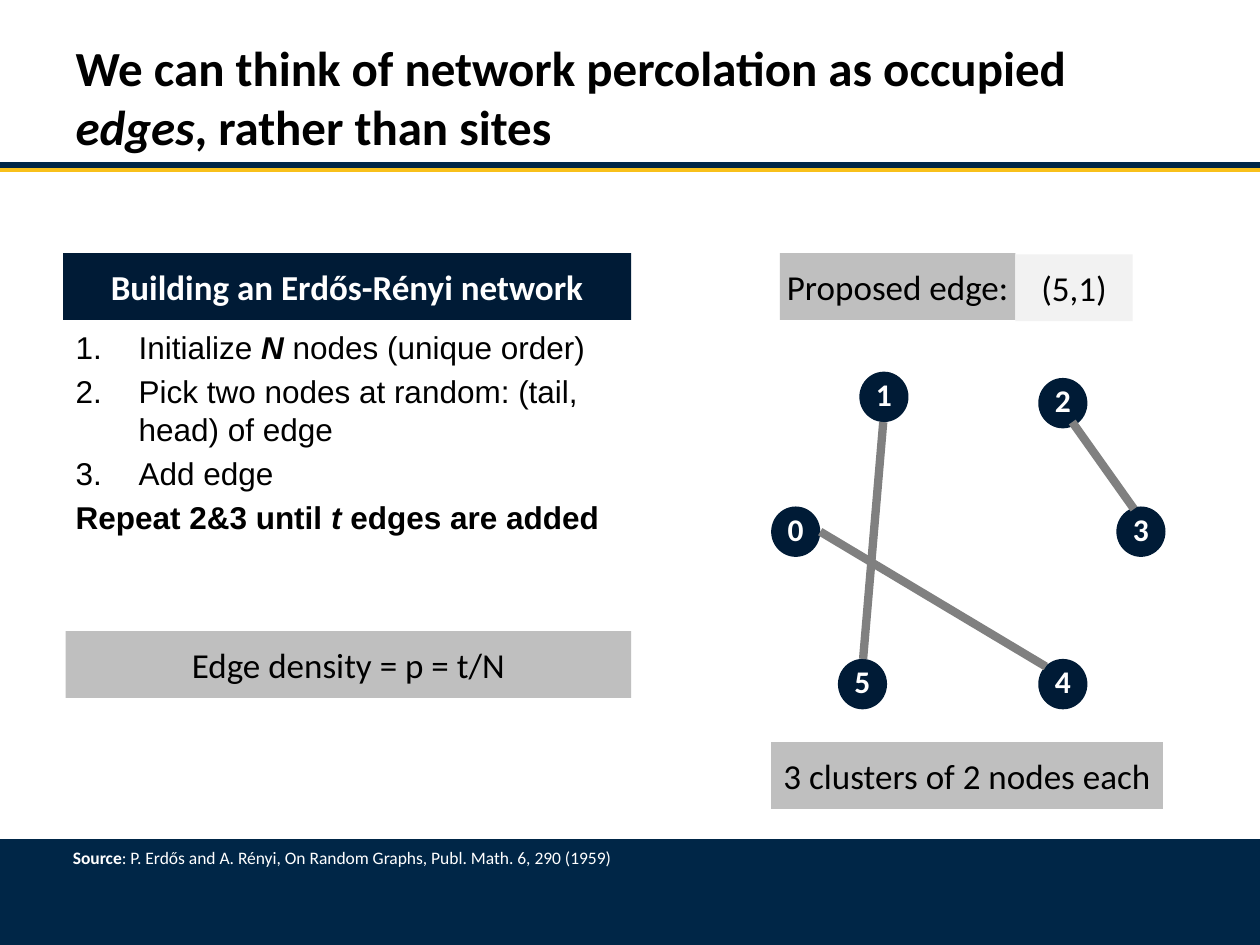
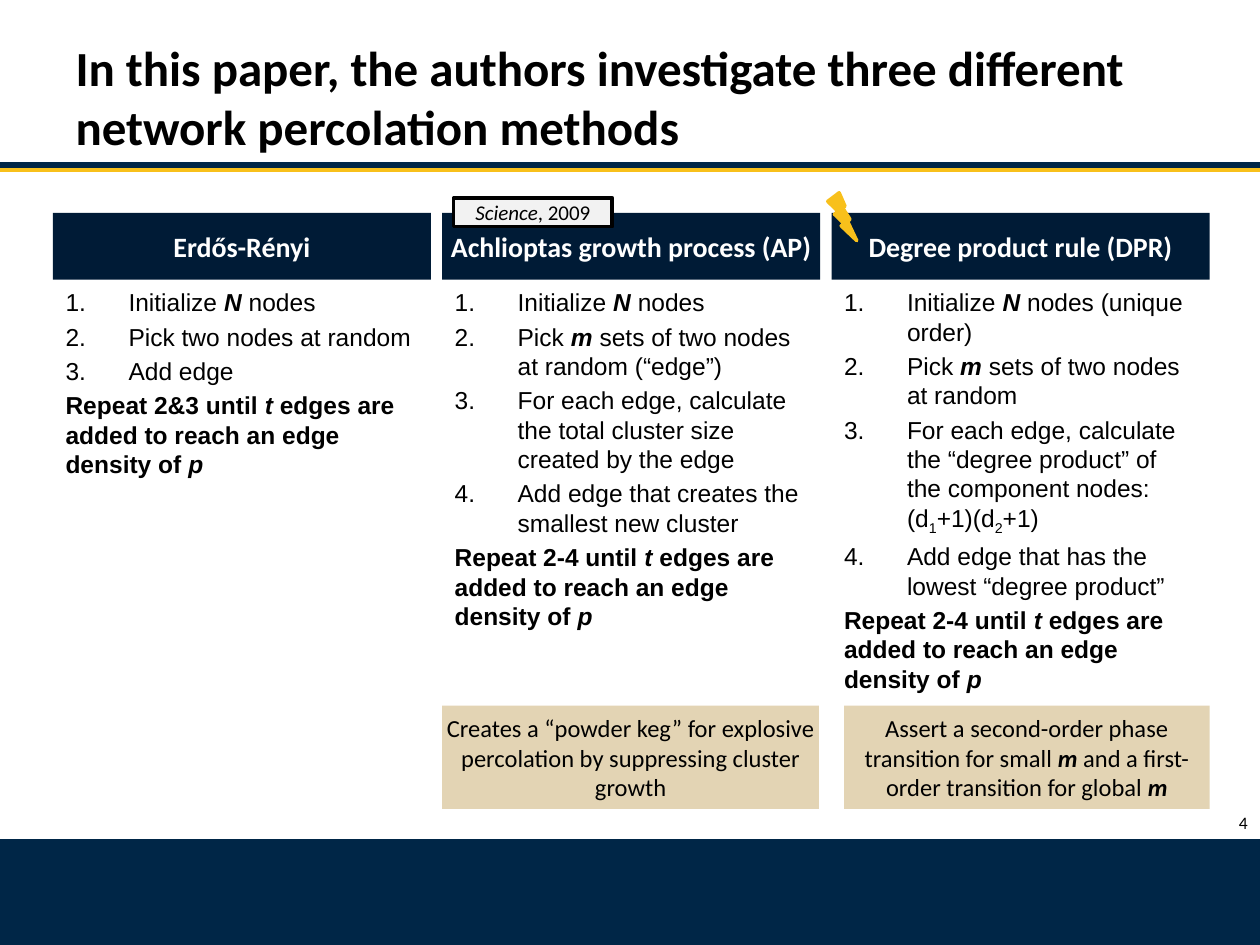
import pptx
import pptx.util
import pptx.dml.color
import pptx.enum.shapes
import pptx.enum.text
import pptx.oxml.ns
from lxml import etree

Inches = pptx.util.Inches
Pt = pptx.util.Pt
RGBColor = pptx.dml.color.RGBColor
SHAPE = pptx.enum.shapes.MSO_SHAPE
STRAIGHT = pptx.enum.shapes.MSO_CONNECTOR.STRAIGHT
ANCHOR = pptx.enum.text.MSO_ANCHOR
ALIGN = pptx.enum.text.PP_ALIGN
qn = pptx.oxml.ns.qn

BLACK = RGBColor(0x00, 0x00, 0x00)
WHITE = RGBColor(0xFF, 0xFF, 0xFF)
BAND_NAVY = RGBColor(0x00, 0x26, 0x47)
DARK_NAVY = RGBColor(0x00, 0x1B, 0x36)
GOLD = RGBColor(0xF8, 0xC0, 0x1B)
SAND = RGBColor(0xE3, 0xD4, 0xB4)
SILVER = RGBColor(0xBF, 0xBF, 0xBF)
PALE = RGBColor(0xF2, 0xF2, 0xF2)
EDGE_GRAY = RGBColor(0x80, 0x80, 0x80)

HEADER_HEIGHT = 0.53
LIST_HEIGHT = 3.51

# Text is a list of (words, style) runs; style letters: b bold, i italic, s subscript.
REPEAT_TAIL = [("t", "i"), (" edges are added to reach an edge density of ", ""), ("p", "i")]
INITIALIZE = [("Initialize ", ""), ("N", "bi"), (" nodes", "")]

METHODS = [
    ("Erdős-Rényi", [
        INITIALIZE,
        [("Pick two nodes at random", "")],
        [("Add edge", "")],
        [("Repeat 2&3 until ", "")] + REPEAT_TAIL,
    ]),
    ("Achlioptas growth process (AP)", [
        INITIALIZE,
        [("Pick ", ""), ("m ", "bi"), ("sets of two nodes at random (“edge”)", "")],
        [("For each edge, calculate the total cluster size created by the edge", "")],
        [("Add edge that creates the smallest new cluster", "")],
        [("Repeat 2-4 until ", "")] + REPEAT_TAIL,
    ]),
    ("Degree product rule (DPR)", [
        INITIALIZE + [(" (unique order)", "")],
        [("Pick ", ""), ("m", "bi"), (" sets of two nodes at random", "")],
        [("For each edge, calculate the “degree product” of the component nodes:", ""),
         ("\n", ""), ("(d", ""), ("1", "s"), ("+1)(d", ""), ("2", "s"), ("+1)", "")],
        [("Add edge that has the lowest “degree product”", "")],
        [("Repeat 2-4 until ", "")] + REPEAT_TAIL,
    ]),
]


def write(paragraph, runs, size, color=BLACK, font="Calibri", bold=None, align=ALIGN.LEFT):
    paragraph.alignment = align
    paragraph.font.name = font
    paragraph.font.size = Pt(size)
    paragraph.font.color.rgb = color
    paragraph.font.bold = bold
    for words, style in runs:
        if words == "\n":
            paragraph.add_line_break()
            continue
        run = paragraph.add_run()
        run.text = words
        if "b" in style:
            run.font.bold = True
        if "i" in style:
            run.font.italic = True
        if "s" in style:
            run.font._element.set("baseline", "-25000")


def place(shape, box):
    shape.left, shape.top, shape.width, shape.height = map(Inches, box)


def add_filled(slide, kind, box, fill, outline=None):
    shape = slide.shapes.add_shape(kind, *map(Inches, box))
    shape.shadow.inherit = False
    shape.fill.solid()
    shape.fill.fore_color.rgb = fill
    if outline is None:
        shape.line.fill.background()
    else:
        shape.line.color.rgb = outline
        shape.line.width = Pt(2)
    return shape


def add_label(slide, box, runs, size, fill, color=BLACK, bold=None,
              kind=SHAPE.RECTANGLE, outline=None, top_inset=0.05):
    """Filled shape with centred text."""
    shape = add_filled(slide, kind, box, fill, outline)
    frame = shape.text_frame
    frame.word_wrap = True
    frame.vertical_anchor = ANCHOR.MIDDLE
    frame.margin_left = frame.margin_right = 0
    frame.margin_top = Inches(top_inset)
    write(frame.paragraphs[0], runs, size, color, bold=bold, align=ALIGN.CENTER)


def add_header(slide, box, words, size):
    add_label(slide, box, [(words, "")], size, DARK_NAVY, WHITE, bold=True)


def add_line(slide, start, end, color, width):
    line = slide.shapes.add_connector(STRAIGHT, *map(Inches, start + end))
    line.line.color.rgb = color
    line.line.width = Pt(width)
    etree.SubElement(line._element.spPr, qn("a:effectLst"))


def add_text_box(slide, box):
    frame = slide.shapes.add_textbox(*map(Inches, box)).text_frame
    frame.word_wrap = True
    return frame


def fill_steps(frame, steps, size):
    """Numbered steps, closed by one bold paragraph without a number."""
    frame.word_wrap = True
    frame.auto_size = pptx.enum.text.MSO_AUTO_SIZE.NONE
    for index, runs in enumerate(steps):
        closing = index == len(steps) - 1
        paragraph = frame.add_paragraph() if index else frame.paragraphs[0]
        properties = paragraph._p.get_or_add_pPr()
        indent = 0 if closing else Inches(0.5)
        properties.set("marL", str(indent))
        properties.set("indent", str(-indent))
        if closing:
            etree.SubElement(properties, qn("a:buNone"))
        else:
            etree.SubElement(properties, qn("a:buFont"), typeface="+mj-lt")
            etree.SubElement(properties, qn("a:buAutoNum"), type="arabicPeriod")
        paragraph.space_before = Pt(0.2 * size if index else 0)
        write(paragraph, runs, size, font="Arial", bold=True if closing else None)


def start_slide(deck, title_runs):
    """New slide with the shared title, rules and footer band."""
    slide = deck.slides.add_slide(deck.slide_layouts[1])
    add_line(slide, (0, 1.35), (10, 1.35), GOLD, 2)
    add_filled(slide, SHAPE.RECTANGLE, (0, 6.66, 10, 0.84), BAND_NAVY)
    add_line(slide, (0, 1.31), (10, 1.31), BAND_NAVY, 3)
    title = slide.shapes.title
    place(title, (0.5, 0.19, 9, 1.09))
    title.text_frame.auto_size = pptx.enum.text.MSO_AUTO_SIZE.NONE
    title.text_frame.vertical_anchor = ANCHOR.BOTTOM
    write(title.text_frame.paragraphs[0], title_runs, 28, bold=True)
    return slide


def add_recipe(slide, left, top, width):
    add_header(slide, (left, top, width, HEADER_HEIGHT), "Building an Erdős-Rényi network", 20)
    body = slide.placeholders[1]
    place(body, (left, top + 0.54, width, LIST_HEIGHT))
    fill_steps(body.text_frame, [
        INITIALIZE + [(" (unique order)", "")],
        [("Pick two nodes at random: (tail, head) of edge", "")],
        [("Add edge", "")],
        [("Repeat 2&3 until ", ""), ("t", "i"), (" edges are added", "")],
    ], 18)
    add_label(slide, (left + 0.02, top + 3, width - 0.02, HEADER_HEIGHT),
              [("Edge density = p = t/N", "")], 20, SILVER)


def add_network(slide, left, top):
    """Proposed edge, six nodes with three edges, and the cluster count."""
    add_label(slide, (left + 0.07, top, 1.87, HEADER_HEIGHT),
              [("Proposed edge:", "")], 20, SILVER)
    add_label(slide, (left + 1.94, top + 0.01, 0.93, HEADER_HEIGHT), [("(5,1)", "")], 20, PALE)
    nodes = [(0, 2.01), (0.7, 0.94), (2.12, 0.99), (2.74, 2.01), (2.12, 3.22), (0.53, 3.22)]
    for number, (x, y) in enumerate(nodes):
        add_label(slide, (left + x, top + y, 0.39, 0.4), [(str(number), "")], 18,
                  DARK_NAVY, WHITE, bold=True, kind=SHAPE.OVAL, top_inset=0)
    edges = [((2.39, 1.34), (2.88, 2.03)),
             ((0.39, 2.21), (2.18, 3.28)),
             ((0.73, 3.22), (0.89, 1.34))]
    for tail, head in edges:
        start, end = ((left + x, top + y) for x, y in (tail, head))
        add_line(slide, start, end, EDGE_GRAY, 4.75)
    add_label(slide, (left, top + 3.88, 3.11, HEADER_HEIGHT),
              [("3 clusters of 2 nodes each", "")], 20, SILVER)


def build_edges_slide(deck):
    slide = start_slide(deck, [("We can think of network percolation as occupied ", ""),
                               ("edges", "i"), (", rather than sites", "")])
    add_recipe(slide, 0.5, 2.01, 4.51)
    add_network(slide, 6.12, 2.01)
    source = add_text_box(slide, (0.48, 6.67, 9, 0.83))
    write(source.paragraphs[0], [
        ("Source", "b"),
        (": P. Erdős and A. Rényi, On Random Graphs, Publ. Math. 6, 290 (1959)", ""),
    ], 10, WHITE)


def add_method(slide, left, top, name, steps, frame):
    add_header(slide, (left, top, 3, HEADER_HEIGHT), name, 16)
    fill_steps(frame, steps, 14)


def build_methods_slide(deck):
    slide = start_slide(deck, [("In this paper, the authors investigate three different "
                                "network percolation methods", "")])
    top = 1.69
    lefts = [0.42 + 3.09 * column for column in range(len(METHODS))]
    for column, (left, (name, steps)) in enumerate(zip(lefts, METHODS)):
        list_box = (left, top + 0.54, 2.99, LIST_HEIGHT)
        if column == 0:
            place(slide.placeholders[1], list_box)
            frame = slide.placeholders[1].text_frame
        else:
            frame = add_text_box(slide, list_box)
        add_method(slide, left, top, name, steps, frame)

    add_filled(slide, SHAPE.LIGHTNING_BOLT, (6.57, 1.53, 0.23, 0.38), GOLD, GOLD)
    add_label(slide, (3.6, 1.57, 1.26, 0.23), [("Science", "i"), (", 2009", "")],
              12, PALE, outline=BLACK)
    add_label(slide, (3.51, 5.6, 2.99, 0.82),
              [("Creates a “powder keg” for explosive percolation by suppressing "
                "cluster growth", "")], 14, SAND)
    add_label(slide, (6.7, 5.6, 2.9, 0.82),
              [("Assert a second-order phase transition for small ", ""), ("m", "bi"),
               (" and a first-order transition for global ", ""), ("m", "bi")], 14, SAND)

    page_number = add_text_box(slide, (9.36, 6.26, 0.64, 0.4))
    page_number.vertical_anchor = ANCHOR.BOTTOM
    write(page_number.paragraphs[0], [("4", "")], 10, align=ALIGN.RIGHT)


def main():
    deck = pptx.Presentation()
    deck.slide_width, deck.slide_height = Inches(10), Inches(7.5)
    build_edges_slide(deck)
    build_methods_slide(deck)
    deck.save("out.pptx")


if __name__ == "__main__":
    main()
